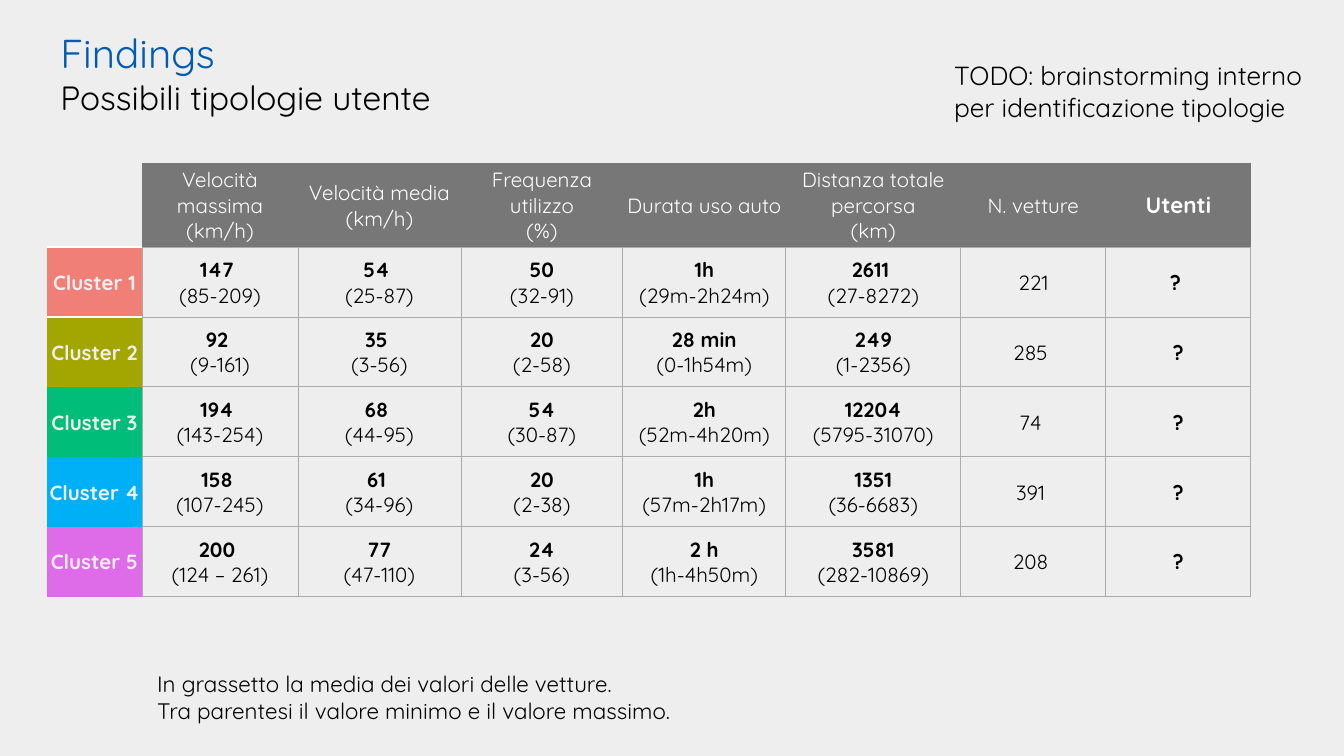
import dataclasses

import lxml.etree
import pptx
import pptx.dml.color
import pptx.enum.text
import pptx.oxml.ns
import pptx.util

EMU_PER_PX = 914400 / 134.4
PLAIN_TABLE_STYLE = "{2D5ABB26-0587-4C30-8999-92F81FD0307C}"
ALIGN = pptx.enum.text.PP_ALIGN
ANCHOR = pptx.enum.text.MSO_ANCHOR
FIT = pptx.enum.text.MSO_AUTO_SIZE


@dataclasses.dataclass(frozen=True)
class Theme:
    font: str = "Quicksand"
    background: str = "EEEEEE"
    accent: str = "005BB2"
    ink: str = "000000"
    white: str = "FFFFFF"
    header: str = "777777"
    grid: str = "AEAAAA"
    clusters: tuple = ("F07F78", "A4A600", "00BE7A", "00B0F6", "DE6CE8")
    title_size: float = 21.6
    subtitle_size: float = 18
    remark_size: float = 14
    note_size: float = 12
    table_size: float = 11


THEME = Theme()
GRID_LINE = (THEME.grid, 0.5)
WHITE_LINE = (THEME.white, 1)

COLUMN_WIDTHS = (95, 156, 163, 162, 163, 175, 145, 145)
HEADER_HEIGHT = 84
ROW_HEIGHT = 70

HEADERS = (
    ["Velocità massima (km/h)"],
    ["Velocità media", "(km/h)"],
    ["Frequenza utilizzo", "(%)"],
    ["Durata uso auto"],
    ["Distanza totale percorsa", "(km)"],
    ["N. vetture"],
)

CLUSTERS = (
    ("Cluster 1", [("147 ", "(85-209)"), ("54 ", "(25-87)"), ("50", "(32-91)"),
                   ("1h", "(29m-2h24m)"), ("2611 ", "(27-8272)")], "221", "? "),
    ("Cluster 2", [("92 ", "(9-161)"), ("35 ", "(3-56)"), ("20", "(2-58)"),
                   ("28 min", "(0-1h54m)"), ("249", "(1-2356)")], "285 ", "?"),
    ("Cluster 3", [("194 ", "(143-254)"), ("68 ", "(44-95)"), ("54", "(30-87)"),
                   ("2h", "(52m-4h20m)"), ("12204", "(5795-31070)")], "74 ", "?"),
    ("Cluster 4 ", [("158 ", "(107-245)"), ("61 ", "(34-96)"), ("20", "(2-38)"),
                    ("1h", "(57m-2h17m)"), ("1351", "(36-6683)")], "391 ", "?"),
    ("Cluster 5", [("200 ", "(124 – 261)"), ("77", "(47-110)"), ("24", "(3-56)"),
                   ("2 h", "(1h-4h50m)"), ("3581", "(282-10869)")], "208 ", "?"),
)


def px(length):
    return pptx.util.Emu(round(length * EMU_PER_PX))


def rgb(color):
    return pptx.dml.color.RGBColor.from_string(color)


def write(para, text, *, size, color=THEME.ink, bold=False, align=ALIGN.LEFT):
    para.alignment = align
    span = para.add_run()
    span.text = text
    span.font.name = THEME.font
    span.font.size = pptx.util.Pt(size)
    span.font.bold = bold
    span.font.color.rgb = rgb(color)


def next_para(frame, index):
    return frame.paragraphs[0] if index == 0 else frame.add_paragraph()


def add_title(page):
    title = page.shapes.title
    title.left, title.top, title.width, title.height = map(px, (47, 44, 758, 58))
    frame = title.text_frame
    frame.auto_size = FIT.NONE
    frame.vertical_anchor = ANCHOR.MIDDLE
    para = frame.paragraphs[0]
    write(para, "Findings", size=THEME.title_size, color=THEME.accent)
    para.add_line_break()
    write(para, "Possibili tipologie utente", size=THEME.subtitle_size)


def add_text_box(page, left, top, width, height, lines, size):
    box = page.shapes.add_textbox(*map(px, (left, top, width, height)))
    frame = box.text_frame
    frame.word_wrap = True
    frame.auto_size = FIT.SHAPE_TO_FIT_TEXT
    for index, line in enumerate(lines):
        write(next_para(frame, index), line, size=size)


def set_borders(cell, borders):
    properties = cell._tc.get_or_add_tcPr()
    for side in "LRTB":
        if side not in borders:
            continue
        color, width = borders[side]
        line = lxml.etree.SubElement(properties, pptx.oxml.ns.qn(f"a:ln{side}"),
                                     w=str(pptx.util.Pt(width)))
        fill = lxml.etree.SubElement(line, pptx.oxml.ns.qn("a:solidFill"))
        lxml.etree.SubElement(fill, pptx.oxml.ns.qn("a:srgbClr"), val=color)


def fill_cell(cell, lines, *, fill, borders, color=THEME.ink,
              bold_lines=(), size=THEME.table_size):
    cell.margin_left = cell.margin_right = cell.margin_top = px(1)
    cell.margin_bottom = 0
    cell.vertical_anchor = ANCHOR.MIDDLE
    set_borders(cell, borders)
    cell.fill.solid()
    cell.fill.fore_color.rgb = rgb(fill)
    for index, line in enumerate(lines):
        write(next_para(cell.text_frame, index), line, size=size, color=color,
              bold=index in bold_lines, align=ALIGN.CENTER)


def fill_header(table):
    style = dict(fill=THEME.header, color=THEME.white, borders={"B": GRID_LINE})
    fill_cell(table.cell(0, 0), [], fill=THEME.background, borders={"B": WHITE_LINE})
    for column, lines in enumerate(HEADERS, start=1):
        fill_cell(table.cell(0, column), lines, **style)
    fill_cell(table.cell(0, len(HEADERS) + 1), ["Utenti"], bold_lines=(0,),
              size=THEME.note_size, **style)


def fill_cluster(table, row, cluster, color):
    name, measures, vehicles, users = cluster
    name_borders = {"R": GRID_LINE}
    if row == 1:
        name_borders["T"] = WHITE_LINE
    fill_cell(table.cell(row, 0), [name], fill=color, color=THEME.background,
              bold_lines=(0,), borders=name_borders)
    style = dict(fill=THEME.background, borders=dict.fromkeys("LRTB", GRID_LINE))
    for column, measure in enumerate(measures, start=1):
        fill_cell(table.cell(row, column), measure, bold_lines=(0,), **style)
    fill_cell(table.cell(row, 6), [vehicles], **style)
    fill_cell(table.cell(row, 7), [users], bold_lines=(0,), **style)


def add_cluster_table(page):
    row_heights = [HEADER_HEIGHT] + [ROW_HEIGHT] * len(CLUSTERS)
    frame = page.shapes.add_table(
        len(row_heights), len(COLUMN_WIDTHS), px(47), px(163),
        px(sum(COLUMN_WIDTHS)), px(sum(row_heights)))
    table = frame.table
    table.first_row = table.horz_banding = False
    table._tbl.tblPr.find(pptx.oxml.ns.qn("a:tableStyleId")).text = PLAIN_TABLE_STYLE
    for column, width in zip(table.columns, COLUMN_WIDTHS):
        column.width = px(width)
    for row, height in zip(table.rows, row_heights):
        row.height = px(height)
    fill_header(table)
    for row, (cluster, color) in enumerate(zip(CLUSTERS, THEME.clusters), start=1):
        fill_cluster(table, row, cluster, color)


def main():
    deck = pptx.Presentation()
    deck.slide_width, deck.slide_height = px(1344), px(756)
    page = deck.slides.add_slide(deck.slide_layouts.get_by_name("Title Only"))
    page.background.fill.solid()
    page.background.fill.fore_color.rgb = rgb(THEME.background)
    add_title(page)
    add_cluster_table(page)
    add_text_box(page, 144, 664, 590, 67,
                 ["In grassetto la media dei valori delle vetture.",
                  "Tra parentesi il valore minimo e il valore massimo."],
                 THEME.note_size)
    add_text_box(page, 941, 53, 403, 77,
                 ["TODO: brainstorming interno per identificazione tipologie"],
                 THEME.remark_size)
    deck.save("out.pptx")


if __name__ == "__main__":
    main()
